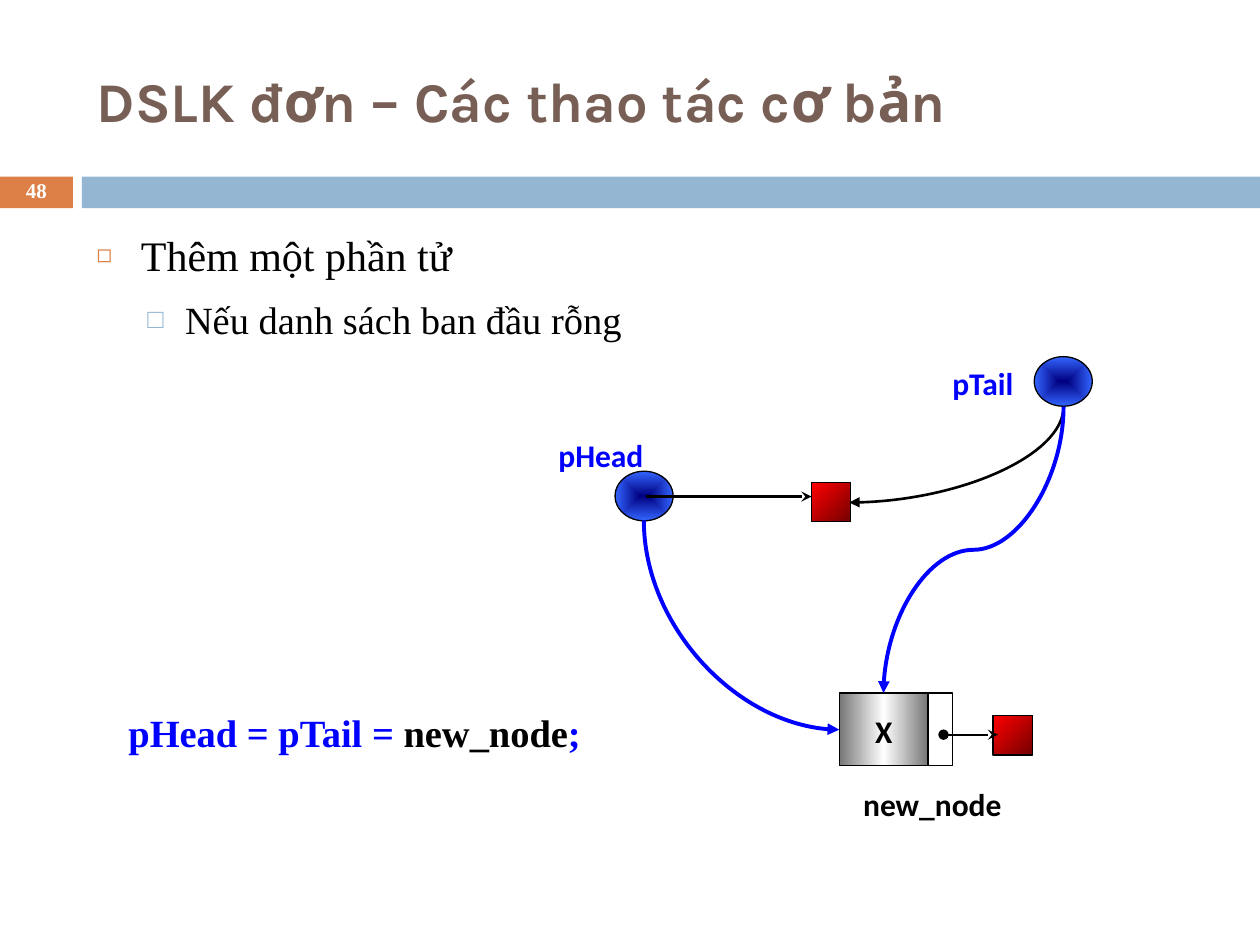
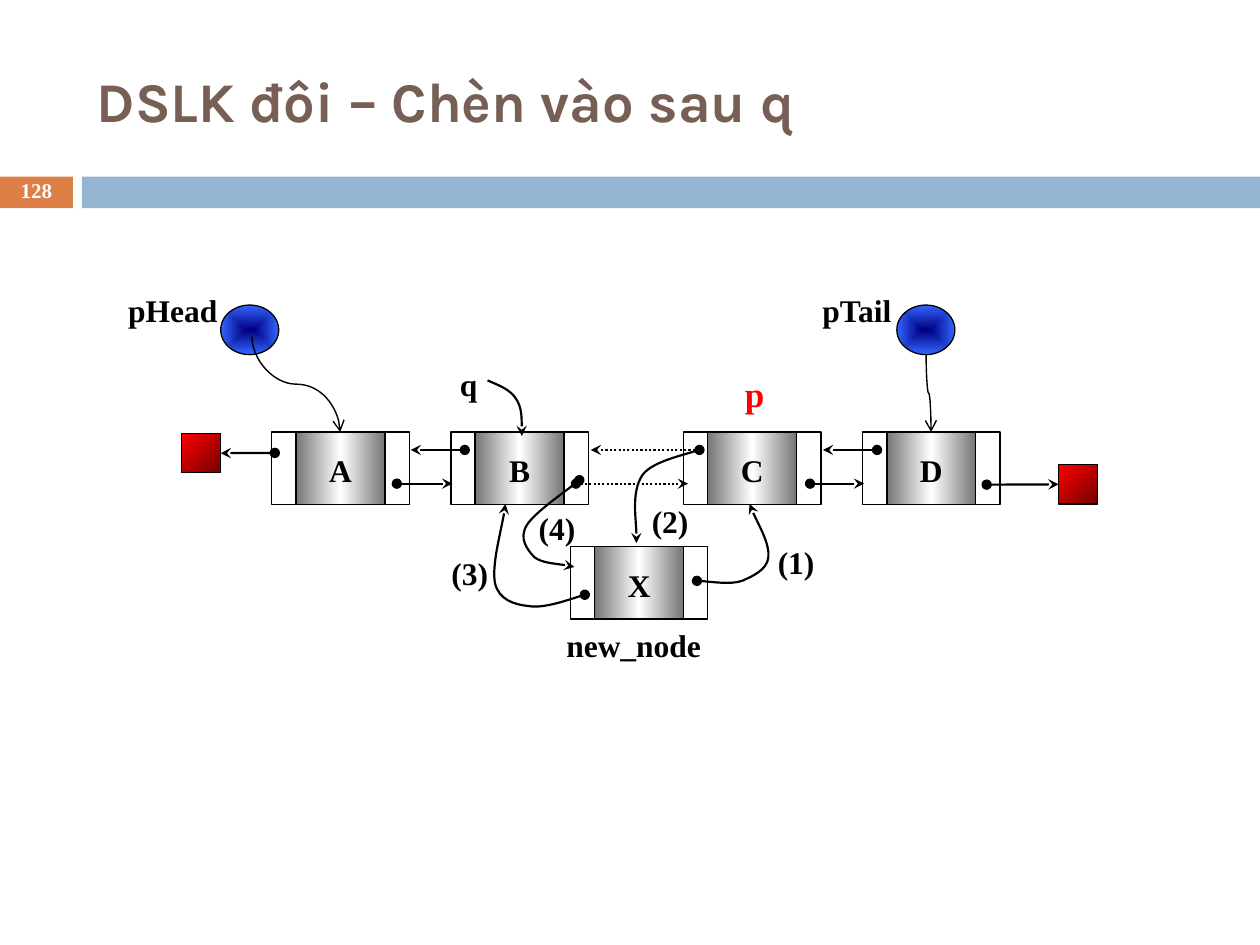
from dataclasses import dataclass

from lxml.etree import SubElement
from pptx import Presentation
from pptx.dml.color import RGBColor
from pptx.enum.dml import MSO_LINE
from pptx.enum.shapes import MSO_CONNECTOR as Connector, MSO_SHAPE as Preset
from pptx.enum.text import MSO_ANCHOR as Anchor, MSO_AUTO_SIZE as AutoSize, PP_ALIGN as Align
from pptx.oxml import parse_xml
from pptx.oxml.ns import nsdecls, qn
from pptx.util import Cm, Pt


@dataclass(frozen=True)
class Theme:
    title: str = "775F55"
    orange: str = "DD8047"
    band: str = "94B6D2"
    black: str = "000000"
    white: str = "FFFFFF"
    blue: str = "0000FF"
    red: str = "FF0000"
    pointer_stops: tuple = ("000080", "3366FF")
    null_stops: tuple = ("FF0000", "760000")
    data_stops: tuple = ("767676", "FFFFFF", "767676")
    title_font: str = "Karla"
    text_font: str = "Times New Roman"
    label_font: str = "Calibri"
    title_size: float = 32
    body_size: float = 24
    sub_size: float = 22
    accent_size: float = 20
    label_size: float = 18
    number_size: float = 12
    outline: float = 0.75
    thin: float = 0.79
    link: float = 1.25
    medium: float = 1.5
    thick: float = 2.25


theme = Theme()


def write(shape, text, paragraph=None, font=theme.text_font, size=theme.label_size,
          color=theme.black, bold=True, align=Align.CENTER, anchor=Anchor.MIDDLE,
          inset=(0, 0, 0, 0)):
    frame = shape.text_frame
    frame.word_wrap = True
    frame.auto_size = AutoSize.NONE
    frame.vertical_anchor = anchor
    frame.margin_left, frame.margin_top, frame.margin_right, frame.margin_bottom = map(Cm, inset)
    paragraph = paragraph or frame.paragraphs[0]
    paragraph.alignment = align
    run = paragraph.add_run()
    run.text = text
    run.font.name = font
    run.font.size = Pt(size)
    run.font.bold = bold
    run.font.color.rgb = RGBColor.from_string(color)
    return paragraph


def stroke(shape, color=theme.black, width=theme.link, head=None, tail="stealth", dotted=False):
    shape.line.color.rgb = RGBColor.from_string(color)
    shape.line.width = Pt(width)
    if dotted:
        shape.line.dash_style = MSO_LINE.ROUND_DOT
    properties = shape.element.spPr
    outline = properties.find(qn("a:ln"))
    for tag, kind in (("a:headEnd", head), ("a:tailEnd", tail)):
        if kind:
            SubElement(outline, qn(tag), type=kind)
    SubElement(properties, qn("a:effectLst"))


GRADIENTS = {
    "pointer": (theme.pointer_stops,
                '<a:path path="shape"><a:fillToRect l="50000" t="50000" r="50000" b="50000"/></a:path>'),
    "null": (theme.null_stops, '<a:lin ang="2700000" scaled="1"/>'),
    "data": (theme.data_stops, '<a:lin ang="0" scaled="1"/>'),
}
POINTER_WIDTH, POINTER_HEIGHT, NULL_SIDE = 1.17, 1.0, 0.79
DATA_WIDTH, CELL_WIDTH, NODE_HEIGHT = 1.79, 0.49, 1.46
TEXT_INSET = (0.25, 0.13, 0.25, 0.13)

bullets = [
    ("Thêm một phần tử", theme.body_size, 0.89, -0.89, "◻", theme.orange, 60),
    ("Nếu danh sách ban đầu rỗng", theme.sub_size, 1.78, -0.76, "□", theme.band, 70),
]
code_runs = [("pHead = pTail = ", theme.blue), ("new_node", theme.black), (";", theme.blue)]
blue_label = dict(font=theme.label_font, color=theme.blue)
oval = dict(head="oval")
dotted = dict(head="oval", dotted=True)
blue_arrow = dict(color=theme.blue, width=theme.thick, tail="triangle")
thin_arrow = dict(width=theme.thin, tail="arrow")

append_to_empty = dict(
    layout=1, number="48", title="DSLK đơn – Các thao tác cơ bản",
    bullets=bullets, code=code_runs, node_font=theme.label_font,
    pointers=[(12.4, 9.5), (20.85, 7.19)],
    nulls=[(16.36, 9.73), (20.02, 14.43)],
    nodes=[("X", 16.92, 13.97, ["next"], True)],
    links=[(13.03, 10.01, 16.36, 10.01, {}, None), (19.02, 14.81, 20.12, 14.81, oval, None)],
    curves=[
        (12.98, 10.49, 16.92, 14.71, 2, blue_arrow),
        (21.44, 8.2, 17.12, 10.13, 2, dict(width=theme.medium, tail="triangle")),
        (21.44, 8.2, 17.81, 13.97, 3, blue_arrow),
    ],
    paths=[],
    labels=[
        ("pHead", 10.97, 8.64, 2.29, 1.07, blue_label),
        ("pTail", 18.67, 7.19, 2.29, 1.07, blue_label),
        ("new_node", 16.99, 15.67, 3.61, 1.07, dict(font=theme.label_font)),
    ],
)

both_sides = ["previous", "next"]
insert_after_q = dict(
    layout=5, number="128", title="DSLK đôi – Chèn vào sau q",
    bullets=[], code=[], node_font=theme.text_font,
    pointers=[(4.45, 6.15), (18.08, 6.15)],
    nulls=[(21.34, 9.37), (3.66, 8.74)],
    nodes=[("X", 11.99, 11.02, both_sides, True)] + [
        (name, left, 8.71, both_sides, False)
        for name, left in (("A", 5.97), ("B", 9.58), ("C", 14.27), ("D", 17.88))],
    links=[
        (8.0, 9.75, 9.12, 9.75, oval, None),
        (11.61, 9.75, 13.87, 9.75, dotted, None),
        (16.33, 9.75, 17.42, 9.75, oval, None),
        (19.89, 9.77, 21.34, 9.77, oval, (0, 1)),
        (9.37, 9.07, 8.28, 9.07, oval, None),
        (14.1, 9.07, 11.91, 9.07, dotted, None),
        (17.68, 9.07, 16.59, 9.07, oval, None),
        (5.54, 9.13, 4.45, 9.13, oval, (1, 3)),
    ],
    curves=[(5.08, 6.78, 6.86, 8.71, 3, thin_arrow), (18.67, 7.14, 18.77, 8.71, 3, thin_arrow)],
    paths=[
        ([(14.05, 11.71), (14.2, 11.71), (14.73, 11.79), (14.96, 11.71), (15.19, 11.61),
          (15.47, 11.48), (15.49, 11.23), (15.52, 10.97), (15.19, 10.39), (15.11, 10.16)], oval),
        ([(11.79, 11.99), (11.61, 12.04), (10.97, 12.27), (10.67, 12.22), (10.36, 12.19),
          (10.06, 12.09), (9.98, 11.76), (9.91, 11.4), (10.16, 10.49), (10.19, 10.16)], oval),
        ([(11.68, 9.68), (11.51, 9.83), (10.77, 10.34), (10.62, 10.59), (10.46, 10.85),
          (10.62, 11.07), (10.77, 11.23), (10.92, 11.35), (11.4, 11.38), (11.58, 11.43)], oval),
        ([(14.17, 9.04), (13.97, 9.14), (13.16, 9.27), (12.95, 9.58), (12.73, 9.91),
          (12.85, 10.67), (12.83, 10.95)], {}),
        ([(9.83, 7.67), (10.06, 7.77), (10.29, 7.85), (10.41, 8.05), (10.52, 8.23),
          (10.52, 8.51), (10.52, 8.79)], {}),
    ],
    labels=[
        ("pHead", 2.34, 5.72, 2.29, 1.07, {}),
        ("pTail", 16.13, 5.72, 2.29, 1.07, {}),
        ("(1)", 15.39, 10.85, 1.32, 0.97, {}),
        ("(2)", 12.85, 10.01, 1.32, 0.97, {}),
        ("(3)", 8.81, 11.07, 1.32, 0.97, {}),
        ("(4)", 10.57, 10.16, 1.32, 0.97, {}),
        ("q", 8.76, 7.19, 1.37, 1.12, {}),
        ("p", 14.76, 7.37, 0.91, 1.12, dict(color=theme.red, size=theme.accent_size)),
        ("new_node", 11.15, 12.5, 3.25, 1.02, {}),
    ],
)

presentation = Presentation()
presentation.slide_width = Cm(25.4)
presentation.slide_height = Cm(19.05)
master_tree = presentation.slide_master.shapes.element

for content in (append_to_empty, insert_after_q):
    slide = presentation.slides.add_slide(presentation.slide_layouts[content["layout"]])
    shapes = slide.shapes

    if content is append_to_empty:
        for position, (left, width, color) in enumerate(
                ((0, 1.47, theme.orange), (1.65, 23.75, theme.band))):
            band = shapes.add_shape(Preset.RECTANGLE, Cm(left), Cm(3.56), Cm(width), Cm(0.64))
            band.shadow.inherit = False
            band.fill.solid()
            band.fill.fore_color.rgb = RGBColor.from_string(color)
            band.line.fill.background()
            band.element.nvSpPr.cNvPr.set("id", str(101 + position))
            master_tree.insert(2 + position, band.element)

    title = shapes.title
    title.left, title.top, title.width, title.height = map(Cm, (1.7, 0.64, 22.66, 2.74))
    write(title, content["title"], font=theme.title_font, size=theme.title_size,
          color=theme.title, align=Align.LEFT, inset=TEXT_INSET)

    for index, (text, size, margin, indent, mark, color, percent) in enumerate(content["bullets"]):
        body = slide.placeholders[1]
        if index == 0:
            body.left, body.top, body.width, body.height = map(Cm, (1.7, 4.45, 22.66, 12.5))
            paragraph = body.text_frame.paragraphs[0]
        else:
            paragraph = body.text_frame.add_paragraph()
        paragraph.level = index
        properties = paragraph._p.get_or_add_pPr()
        properties.set("marL", str(Cm(margin)))
        properties.set("indent", str(Cm(indent)))
        SubElement(SubElement(properties, qn("a:buClr")), qn("a:srgbClr"), val=color)
        SubElement(properties, qn("a:buSzPct"), val=str(percent * 1000))
        SubElement(properties, qn("a:buChar"), char=mark)
        paragraph.line_spacing = Pt(30)
        paragraph.space_before = Pt(6 if index else 0)
        write(body, text, paragraph, size=size, bold=False, align=Align.LEFT,
              anchor=Anchor.TOP, inset=TEXT_INSET)

    number = shapes.add_textbox(Cm(0), Cm(3.53), Cm(1.47), Cm(0.69))
    write(number, content["number"], size=theme.number_size, color=theme.white).line_spacing = 0.8

    pieces = [(Preset.OVAL, left, top, POINTER_WIDTH, POINTER_HEIGHT, "pointer", "")
              for left, top in content["pointers"]]
    pieces += [(Preset.RECTANGLE, left, top, NULL_SIDE, NULL_SIDE, "null", "")
               for left, top in content["nulls"]]
    for name, left, top, sides, filled in content["nodes"]:
        for side in sides:
            cell_left = left + DATA_WIDTH if side == "next" else left - CELL_WIDTH
            pieces.append((Preset.RECTANGLE, cell_left, top, CELL_WIDTH, NODE_HEIGHT,
                           "white" if filled else "clear", ""))
        pieces.append((Preset.RECTANGLE, left, top, DATA_WIDTH, NODE_HEIGHT, "data", name))

    nulls = []
    for preset, left, top, width, height, fill, name in pieces:
        shape = shapes.add_shape(preset, Cm(left), Cm(top), Cm(width), Cm(height))
        shape.shadow.inherit = False
        shape.line.color.rgb = RGBColor.from_string(theme.black)
        shape.line.width = Pt(theme.outline)
        shape.fill.background()
        if fill == "white":
            shape.fill.solid()
            shape.fill.fore_color.rgb = RGBColor.from_string(theme.white)
        elif fill in GRADIENTS:
            colors, direction = GRADIENTS[fill]
            stops = "".join(
                f'<a:gs pos="{100000 * step // (len(colors) - 1)}"><a:srgbClr val="{color}"/></a:gs>'
                for step, color in enumerate(colors))
            gradient = parse_xml(f'<a:gradFill {nsdecls("a")} rotWithShape="1">'
                                 f'<a:gsLst>{stops}</a:gsLst>{direction}</a:gradFill>')
            properties = shape.element.spPr
            properties.replace(properties.find(qn("a:noFill")), gradient)
        if fill == "null":
            nulls.append(shape)
        if name:
            write(shape, name, font=content["node_font"], inset=(0, 0.08, 0, 0))

    for begin_x, begin_y, end_x, end_y, style, joint in content["links"]:
        link = shapes.add_connector(Connector.STRAIGHT, Cm(begin_x), Cm(begin_y), Cm(end_x), Cm(end_y))
        if joint:
            null_index, site = joint
            link.end_connect(nulls[null_index], site)
        stroke(link, **style)

    for begin_x, begin_y, end_x, end_y, bends, style in content["curves"]:
        center_x, center_y = (begin_x + end_x) / 2, (begin_y + end_y) / 2
        side = 1 if end_x > begin_x else -1
        half_width, half_height = side * (end_y - begin_y) / 2, abs(end_x - begin_x) / 2
        curve = shapes.add_connector(
            Connector.CURVE, Cm(center_x + half_width), Cm(center_y - half_height),
            Cm(center_x - half_width), Cm(center_y + half_height))
        curve.rotation = 270 if side > 0 else 90
        curve.element.spPr.find(qn("a:prstGeom")).set("prst", f"curvedConnector{bends}")
        stroke(curve, **style)

    for points, style in content["paths"]:
        start, *controls = [(Cm(x), Cm(y)) for x, y in points]
        builder = shapes.build_freeform(*start)
        builder.add_line_segments(controls, close=False)
        arrow = builder.convert_to_shape()
        outline_path = next(arrow.element.iter(qn("a:path")))
        segments = outline_path.findall(qn("a:lnTo"))
        for first in range(0, len(segments), 3):
            bezier = SubElement(outline_path, qn("a:cubicBezTo"))
            for segment in segments[first:first + 3]:
                bezier.append(segment[0])
                outline_path.remove(segment)
        arrow.fill.background()
        stroke(arrow, **style)

    for text, left, top, width, height, style in content["labels"]:
        label = shapes.add_textbox(Cm(left), Cm(top), Cm(width), Cm(height))
        write(label, text, **style)

    if content["code"]:
        code_box = shapes.add_textbox(Cm(2.59), Cm(14.17), Cm(9.5), Cm(1.19))
        for text, color in content["code"]:
            write(code_box, text, size=theme.sub_size, color=color, align=Align.LEFT)

presentation.save("out.pptx")
